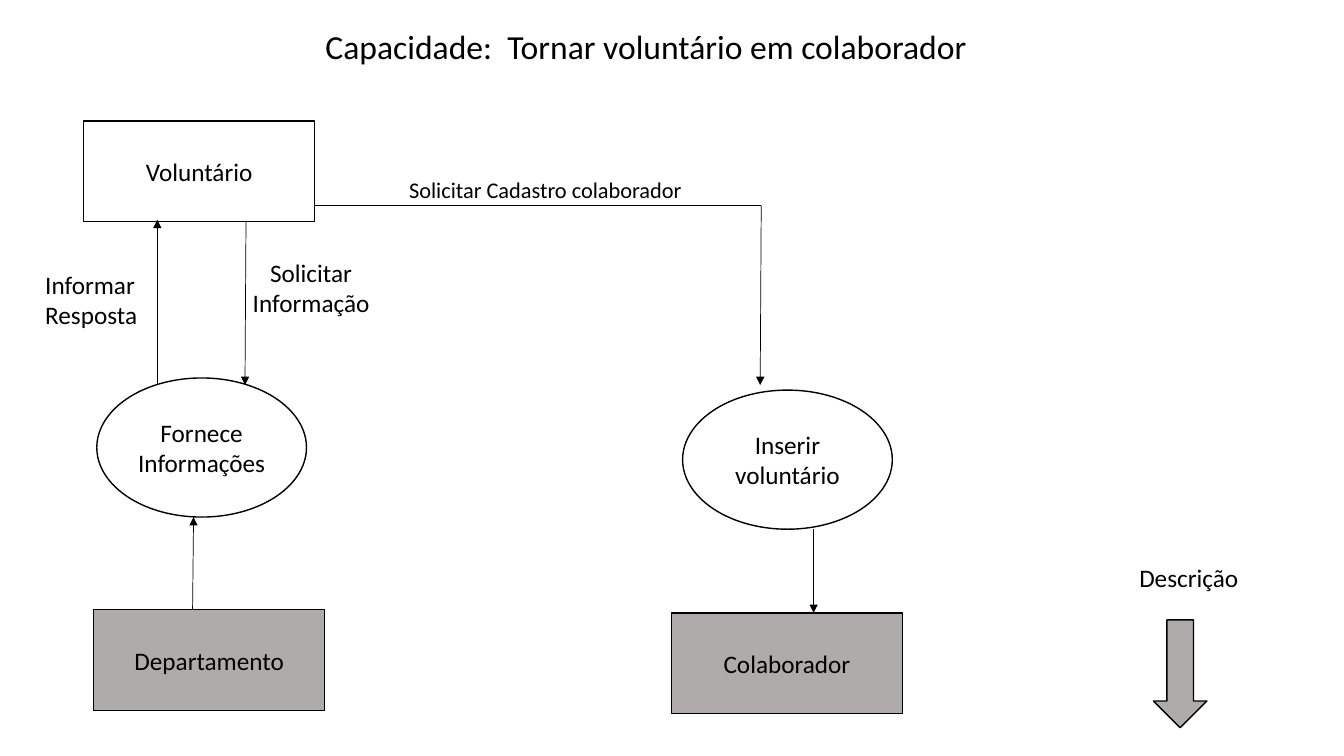
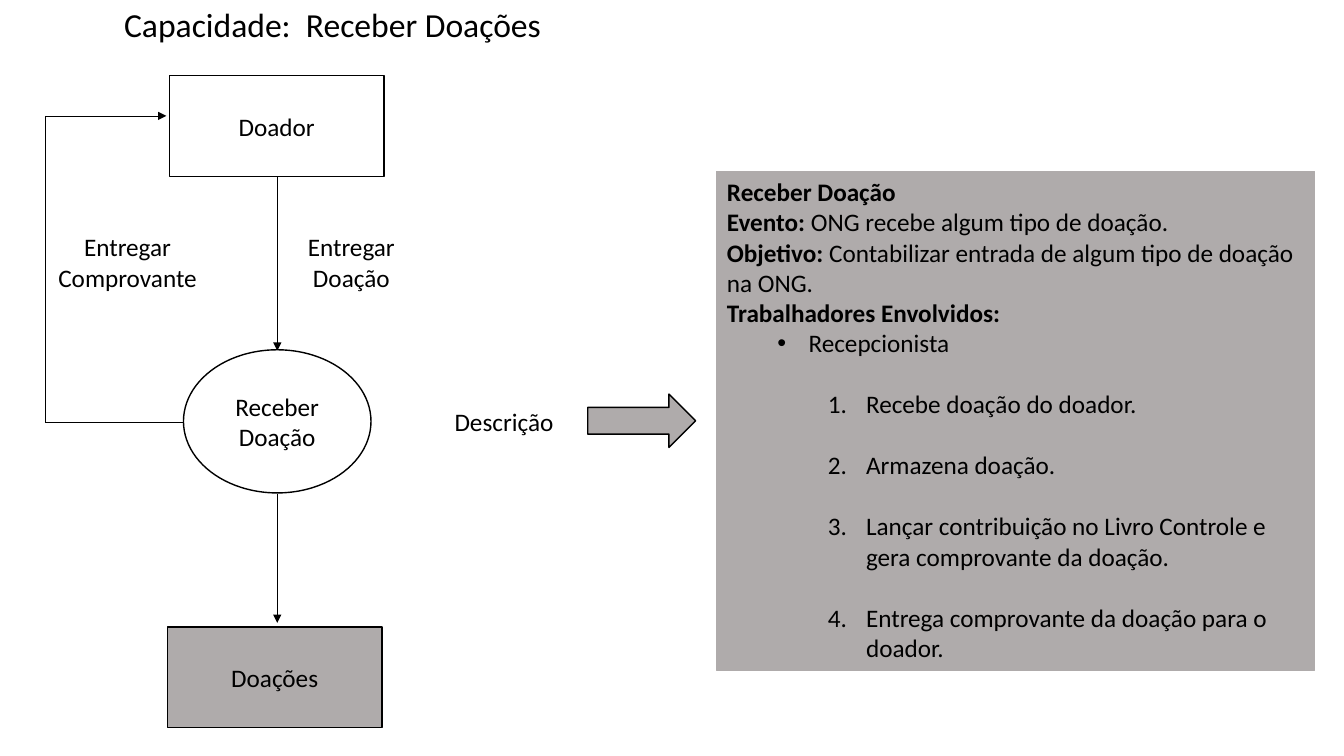
import pptx
import pptx.util
import pptx.dml.color
import pptx.enum.dml
import pptx.enum.shapes
import pptx.enum.text
import pptx.oxml.ns
import lxml.etree

Inches = pptx.util.Inches
Pt = pptx.util.Pt
SHAPES = pptx.enum.shapes.MSO_SHAPE
ALIGN = pptx.enum.text.PP_ALIGN
ANCHOR = pptx.enum.text.MSO_ANCHOR

FONT = "Calibri"
BLACK, WHITE, GRAY = "000000", "FFFFFF", "AFABAB"
TITLE_SIZE, BODY_SIZE, SMALL_SIZE = 24, 18, 16
LAYOUT_CONTENT, LAYOUT_TITLE = 1, 5
STEP_GAP = 22


def color(hex_value):
    """Return the RGB colour of a hex string."""
    return pptx.dml.color.RGBColor.from_string(hex_value)


def add_xml(parent, tag, **attributes):
    """Append a drawing element to the parent."""
    element = lxml.etree.SubElement(parent, pptx.oxml.ns.qn(tag))
    for key, value in attributes.items():
        element.set(key, value)
    return element


def place(box, left, top, width, height):
    """Return lengths of a part offset from the corner of its box."""
    return [Inches(n) for n in (box[0] + left, box[1] + top, width, height)]


def paint(shape, fill, line, width):
    """Give a shape a plain fill and outline."""
    shape.fill.solid()
    shape.fill.fore_color.rgb = color(fill)
    shape.line.color.rgb = color(line)
    shape.line.width = Pt(width)


def style_run(run, size=BODY_SIZE, bold=False):
    """Set the shared font on a run."""
    run.font.name = FONT
    run.font.size = Pt(size)
    run.font.bold = bold
    run.font.color.rgb = color(BLACK)


def write(shape, text, size=BODY_SIZE, align=ALIGN.CENTER, anchor=ANCHOR.TOP):
    """Write plain text with shared formatting into a shape."""
    frame = shape.text_frame
    frame.text = text
    frame.word_wrap = True
    frame.auto_size = pptx.enum.text.MSO_AUTO_SIZE.NONE
    frame.vertical_anchor = anchor
    for paragraph in frame.paragraphs:
        paragraph.alignment = align
        for run in paragraph.runs:
            style_run(run, size)


def add_title(slide, box, text, align):
    """Move and fill the title placeholder."""
    title = slide.shapes.title
    title.left, title.top, title.width, title.height = place(box, 0, 0, *box[2:])
    write(title, text, TITLE_SIZE, align)


def add_node(slide, box, part, text, kind=SHAPES.RECTANGLE, fill=WHITE):
    """Draw an outlined node of the flow."""
    node = slide.shapes.add_shape(kind, *place(box, *part))
    node.shadow.inherit = False
    paint(node, fill, BLACK, 1)
    if text:
        write(node, text, anchor=ANCHOR.MIDDLE)
    return node


def add_label(slide, box, part, text, size=BODY_SIZE, align=ALIGN.CENTER):
    """Write a free label beside the flow."""
    label = slide.shapes.add_textbox(*place(box, *part))
    write(label, text, size, align)


def add_flow(slide, box, start, end, arrow=True):
    """Draw a thin flow line, with an arrowhead at its end if wanted."""
    flow = slide.shapes.add_connector(
        pptx.enum.shapes.MSO_CONNECTOR.STRAIGHT,
        *place(box, *start, 0, 0)[:2], *place(box, *end, 0, 0)[:2])
    flow.line.color.rgb = color(BLACK)
    flow.line.width = Pt(0.5)
    if arrow:
        add_xml(flow.line._get_or_add_ln(), "a:tailEnd", type="triangle")
    add_xml(flow._element.spPr, "a:effectLst")


def information_loop(slide, box):
    """Draw the volunteer asking for and receiving information."""
    add_node(slide, box, (0.48, 0, 2.29, 1), "Voluntário")
    add_flow(slide, box, (2.09, 1), (2.08, 2.62))
    add_flow(slide, box, (1.21, 2.62), (1.21, 0.98))
    add_flow(slide, box, (1.56, 4.85), (1.57, 3.93))
    add_node(slide, box, (0.61, 2.55, 2.08, 1.38), "Fornece Informações", SHAPES.OVAL)
    add_node(slide, box, (0.58, 4.85, 2.29, 1), "Departamento", fill=GRAY)
    add_label(slide, box, (0, 1.42, 1.49, 0.71), "Informar Resposta", align=ALIGN.LEFT)
    add_label(slide, box, (1.99, 1.3, 1.49, 0.71), "Solicitar\nInformação")


def registration_branch(slide, box):
    """Draw the request that turns a volunteer into a collaborator."""
    add_label(slide, box, (0.65, 0, 3.3, 0.37), "Solicitar Cadastro colaborador", SMALL_SIZE)
    add_flow(slide, box, (4.44, 0.34), (0, 0.34), arrow=False)
    add_flow(slide, box, (4.44, 0.34), (4.43, 2.12))
    add_node(slide, box, (3.66, 2.17, 2.08, 1.38), "Inserir\nvoluntário", SHAPES.OVAL)
    add_node(slide, box, (3.55, 4.38, 2.29, 1), "Colaborador", fill=GRAY)
    add_flow(slide, box, (4.96, 3.55), (4.96, 4.38))


def description_pointer(slide, box, arrow_offset, rotation, align):
    """Write the description label with its block arrow."""
    add_label(slide, box, (0, 0, *box[2:]), "Descrição", align=align)
    pointer = add_node(slide, box, (*arrow_offset, 1.07, 0.53), "", SHAPES.RIGHT_ARROW, GRAY)
    pointer.rotation = rotation


def donation_flow(slide, box):
    """Draw the donor handing over a donation and getting a receipt."""
    add_node(slide, box, (1.31, 0, 2.13, 1), "Doador")
    add_flow(slide, box, (2.38, 1), (2.38, 2.73))
    add_node(slide, box, (1.45, 2.72, 1.86, 1.42), "Receber\nDoação", SHAPES.OVAL)
    add_flow(slide, box, (2.38, 4.15), (2.38, 5.43))
    add_node(slide, box, (1.29, 5.47, 2.13, 1), "Doações", fill=GRAY)
    add_label(slide, box, (2.45, 1.5, 1.33, 0.71), "Entregar Doação")
    add_label(slide, box, (0, 1.5, 1.79, 0.71), "Entregar Comprovante")
    add_flow(slide, box, (0.08, 3.44), (1.45, 3.44), arrow=False)
    add_flow(slide, box, (0.08, 0.4), (0.08, 3.44), arrow=False)
    add_flow(slide, box, (0.08, 0.4), (1.28, 0.4))


def set_marker(paragraph, level, margin, indent, tag, **attributes):
    """Set the indent and list marker of a paragraph."""
    paragraph.level = level
    properties = paragraph._p.get_or_add_pPr()
    properties.set("marL", str(Inches(margin)))
    properties.set("indent", str(Inches(indent)))
    if tag != "a:buNone":
        add_xml(properties, "a:buFont", typeface="Arial" if tag == "a:buChar" else "+mj-lt")
    add_xml(properties, tag, **attributes)


def description_panel(slide, box, facts, worker, steps):
    """Fill the body placeholder with facts, the worker and numbered steps."""
    panel = slide.placeholders[1]
    panel.left, panel.top, panel.width, panel.height = place(box, 0, 0, *box[2:])
    paint(panel, GRAY, GRAY, 0.75)
    lines = [heading + detail for heading, detail in facts] + [worker] + steps
    write(panel, "\n".join(lines), align=ALIGN.LEFT)
    paragraphs = panel.text_frame.paragraphs
    for paragraph in paragraphs:
        paragraph.space_before = Pt(0)
    for paragraph, (heading, detail) in zip(paragraphs, facts):
        paragraph.runs[0].text = heading
        style_run(paragraph.runs[0], bold=True)
        if detail:
            explanation = paragraph.add_run()
            explanation.text = detail
            style_run(explanation)
        set_marker(paragraph, 0, 0, 0, "a:buNone")
    set_marker(paragraphs[len(facts)], 1, 0.81, -0.31, "a:buChar", char="•")
    for paragraph in paragraphs[len(facts) + 1:]:
        paragraph.space_before = Pt(STEP_GAP)
        set_marker(paragraph, 2, 1.38, -0.38, "a:buAutoNum", type="arabicPeriod")


def volunteer_slide(deck):
    """Build the slide on turning a volunteer into a collaborator."""
    slide = deck.slides.add_slide(deck.slide_layouts[LAYOUT_TITLE])
    add_title(slide, (2.63, 0.21, 7.63, 0.5),
              "Capacidade:\u00a0 Tornar voluntário em colaborador ", ALIGN.CENTER)
    information_loop(slide, (0.35, 1.2))
    registration_branch(slide, (3.11, 1.7))
    description_pointer(slide, (11.09, 5.53, 1.4, 0.4), (0.08, 0.89), 90, ALIGN.CENTER)


def donation_slide(deck):
    """Build the slide on receiving donations."""
    slide = deck.slides.add_slide(deck.slide_layouts[LAYOUT_CONTENT])
    add_title(slide, (1.13, -0.01, 5.43, 0.5),
              "Capacidade:\u00a0 Receber Doações", ALIGN.LEFT)
    donation_flow(slide, (0.37, 0.75))
    description_pointer(slide, (4.41, 3.98, 3, 0.4), (1.42, -0.07), 0, ALIGN.LEFT)
    facts = [
        ("Receber Doação", ""),
        ("Evento: ", "ONG recebe algum tipo de doação."),
        ("Objetivo: ", "Contabilizar entrada de algum tipo de doação na ONG."),
        ("Trabalhadores Envolvidos:", ""),
    ]
    steps = [
        "Recebe doação do doador.",
        "Armazena doação.",
        "Lançar contribuição no Livro Controle e gera comprovante da doação.",
        "Entrega comprovante da doação para o doador.",
    ]
    description_panel(slide, (7.11, 1.7, 5.93, 4.95), facts, "Recepcionista", steps)


def main():
    """Build and save the deck."""
    deck = pptx.Presentation()
    deck.slide_width, deck.slide_height = Inches(13.33), Inches(7.5)
    volunteer_slide(deck)
    donation_slide(deck)
    deck.save("out.pptx")


main()
